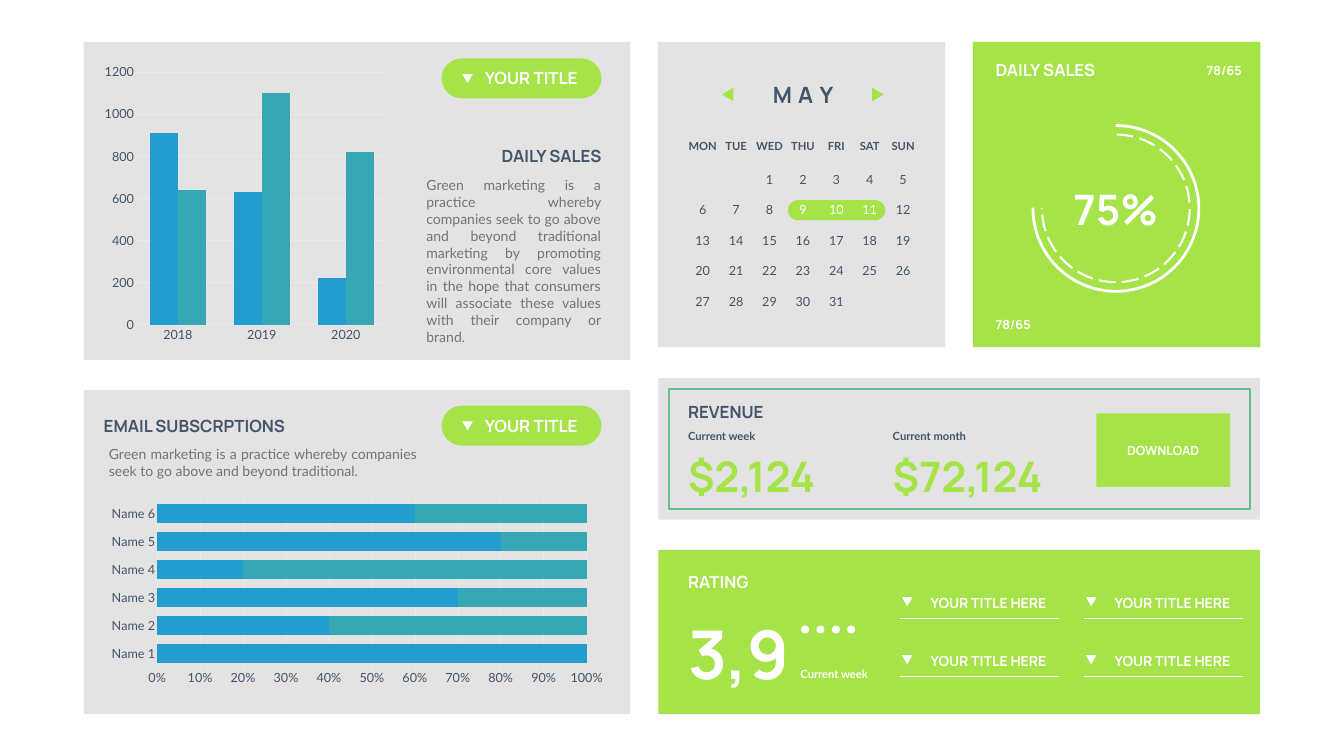
from dataclasses import dataclass, replace
from typing import NamedTuple, Optional, Sequence

from lxml import etree
from pptx import Presentation
from pptx.chart.data import CategoryChartData
from pptx.dml.color import RGBColor
from pptx.enum.chart import XL_CHART_TYPE, XL_TICK_MARK
from pptx.enum.dml import MSO_LINE
from pptx.enum.shapes import MSO_CONNECTOR, MSO_SHAPE
from pptx.enum.text import MSO_ANCHOR, MSO_AUTO_SIZE, PP_ALIGN
from pptx.oxml import parse_xml
from pptx.oxml.ns import nsdecls, qn
from pptx.util import Inches, Pt

RECT, PILL, TRIANGLE = MSO_SHAPE.RECTANGLE, MSO_SHAPE.ROUNDED_RECTANGLE, MSO_SHAPE.ISOSCELES_TRIANGLE
OVAL, ARC, STRAIGHT = MSO_SHAPE.OVAL, MSO_SHAPE.ARC, MSO_CONNECTOR.STRAIGHT
COLUMNS, BARS = XL_CHART_TYPE.COLUMN_CLUSTERED, XL_CHART_TYPE.BAR_STACKED_100
NO_TICK, LONG_DASH = XL_TICK_MARK.NONE, MSO_LINE.LONG_DASH
TOP, MIDDLE, GROW = MSO_ANCHOR.TOP, MSO_ANCHOR.MIDDLE, MSO_AUTO_SIZE.SHAPE_TO_FIT_TEXT
LEFT, CENTER, RIGHT, JUSTIFY = PP_ALIGN.LEFT, PP_ALIGN.CENTER, PP_ALIGN.RIGHT, PP_ALIGN.JUSTIFY

WHITE = RGBColor(0xFF, 0xFF, 0xFF)
GRAY = RGBColor(0xE3, 0xE3, 0xE3)
GREEN = RGBColor(0xA5, 0xE3, 0x48)
FRAME_GREEN = RGBColor(0x63, 0xC0, 0x8A)
NAVY = RGBColor(0x44, 0x54, 0x69)
BODY_GRAY = RGBColor(0x73, 0x75, 0x72)
GRID = RGBColor(0xEA, 0xEA, 0xEA)
SERIES_COLORS = (RGBColor(0x22, 0x9D, 0xCE), RGBColor(0x37, 0xA7, 0xB6))


class Box(NamedTuple):
    left: float
    top: float
    width: float
    height: float


@dataclass(frozen=True)
class Style:
    size: int
    color: RGBColor
    font: str = "Manrope"
    bold: bool = True
    align: PP_ALIGN = LEFT
    anchor: MSO_ANCHOR = MIDDLE
    wrap: bool = False


HEADING = Style(24, NAVY, anchor=TOP)
WHITE_HEADING = replace(HEADING, color=WHITE)
PILL_LABEL = Style(24, WHITE)
BODY = Style(20, BODY_GRAY, "Lato", False, JUSTIFY, TOP, True)
CAPTION = Style(16, NAVY, "Lato")
WEEKDAY = replace(CAPTION, align=CENTER)
DAY = Style(18, NAVY, "Lato", False, CENTER)
SMALL = Style(18, WHITE)
AMOUNT = Style(60, GREEN, anchor=TOP)


def place(item, box: Box) -> None:
    item.left, item.top, item.width, item.height = map(Inches, box)


def write(item, words: Sequence[str], style: Style, spacing: Sequence[int] = ()) -> None:
    """Fill one paragraph, run by run; spacing is in hundredths of a point."""
    frame = item.text_frame
    frame.word_wrap, frame.auto_size = style.wrap, GROW
    frame.vertical_anchor = style.anchor
    para = frame.paragraphs[0]
    para.alignment = style.align
    for index, word in enumerate(words):
        span = para.add_run()
        span.text = word
        span.font.name, span.font.size, span.font.bold = style.font, Pt(style.size), style.bold
        span.font.color.rgb = style.color
        if spacing:
            span.font._element.set("spc", str(spacing[index]))


def add_text(shapes, box: Box, words: str, style: Style) -> None:
    write(shapes.add_textbox(*map(Inches, box)), [words], style)


def add_figure(shapes, kind, box: Box, fill: Optional[RGBColor] = None, line: Optional[RGBColor] = None,
               weight: float = 1, turn: float = 0, adjust: Sequence[float] = ()):
    figure = shapes.add_shape(kind, *map(Inches, box))
    figure.shadow.inherit = False
    figure.rotation = turn
    for index, value in enumerate(adjust):
        figure.adjustments[index] = value
    if fill is None:
        figure.fill.background()
    else:
        figure.fill.solid()
        figure.fill.fore_color.rgb = fill
    if line is None:
        figure.line.fill.background()
    else:
        figure.line.color.rgb, figure.line.width = line, Pt(weight)
    return figure


def add_pill(shapes, top: float) -> None:
    add_figure(shapes, PILL, Box(8.76, top, 3.17, 0.79), GREEN, adjust=[0.5])
    add_text(shapes, Box(9.52, top + 0.14, 2.06, 0.5), "YOUR TITLE", PILL_LABEL)
    add_figure(shapes, TRIANGLE, Box(9.17, top + 0.31, 0.21, 0.18), WHITE, turn=180)


def add_rating_item(shapes, left: float, top: float) -> None:
    add_text(shapes, Box(left + 0.5, top, 2.5, 0.44), "YOUR TITLE HERE", Style(20, WHITE))
    add_figure(shapes, TRIANGLE, Box(left + 0.03, top + 0.11, 0.21, 0.18), WHITE, turn=180)
    y = Inches(top + 0.52)
    rule = shapes.add_connector(STRAIGHT, Inches(left), y, Inches(left + 3.14), y)
    rule.line.color.rgb, rule.line.width = WHITE, Pt(1)
    etree.SubElement(rule.element.spPr, qn("a:effectLst"))


def add_bar_chart(shapes, kind, box: Box, names: Sequence[str], rows: Sequence[Sequence[int]], gap: int):
    data = CategoryChartData()
    data.categories = names
    for number, row in enumerate(rows, 1):
        data.add_series(f"Series {number}", row)
    chart = shapes.add_chart(kind, *map(Inches, box), data).chart
    chart.has_legend = chart.has_title = False
    plot = chart.plots[0]
    plot.gap_width, plot.vary_by_categories = gap, False
    for series, color in zip(plot.series, SERIES_COLORS):
        series.format.fill.solid()
        series.format.fill.fore_color.rgb = color
    for font in (chart.font, chart.category_axis.tick_labels.font, chart.value_axis.tick_labels.font):
        font.name, font.size, font.bold = "Lato", Pt(18), False
        font.color.rgb = NAVY
    for axis in (chart.category_axis, chart.value_axis):
        axis.major_tick_mark = axis.minor_tick_mark = NO_TICK
    chart.value_axis.has_major_gridlines = True
    for line in (chart.category_axis.format.line, chart.value_axis.major_gridlines.format.line):
        line.color.rgb, line.width = GRID, Pt(0.75)
    chart.value_axis.format.line.fill.background()
    return chart


def set_inner_plot(chart, box: Box) -> None:
    area = chart.element.find(".//" + qn("c:plotArea"))
    for old in area.findall(qn("c:layout")):
        area.remove(old)
    sizes = "".join(f'<c:{tag} val="{value}"/>' for tag, value in zip("xywh", box))
    area.insert(0, parse_xml(
        f'<c:layout {nsdecls("c")}><c:manualLayout><c:layoutTarget val="inner"/>'
        f'<c:xMode val="edge"/><c:yMode val="edge"/>{sizes}</c:manualLayout></c:layout>'))


def add_calendar(shapes) -> None:
    month = shapes.add_textbox(*map(Inches, Box(15.18, 1.56, 1.5, 0.64)))
    write(month, ["MA", "Y"], Style(32, NAVY, align=CENTER, anchor=TOP), [900, 0])
    for left, turn in ((14.3, 270), (17.28, 90)):
        add_figure(shapes, TRIANGLE, Box(left, 1.76, 0.27, 0.23), GREEN, turn=turn)
    add_figure(shapes, PILL, Box(15.63, 3.97, 1.93, 0.4), GREEN, adjust=[0.5])
    first_center, column_step, row_step = 13.94, 0.6625, 0.605
    for column, name in enumerate(("MON", "TUE", "WED", "THU", "FRI", "SAT", "SUN")):
        center = first_center + column * column_step
        add_text(shapes, Box(center - 0.4, 2.72, 0.8, 0.37), name, WEEKDAY)
    for day in range(1, 32):
        row, column = divmod(day + 1, 7)  # the month starts on a Wednesday
        left = first_center + column * column_step - 0.25
        style = replace(DAY, color=WHITE) if 9 <= day <= 11 else DAY
        add_text(shapes, Box(left, 3.36 + row * row_step, 0.5, 0.4), str(day), style)


def add_gauge(shapes) -> None:
    gauge = shapes.add_group_shape().shapes
    add_figure(gauge, ARC, Box(20.49, 2.49, 3.29, 3.29), None, WHITE, 4, adjust=[161.91, 108.3])
    inner = add_figure(gauge, ARC, Box(20.67, 2.67, 2.93, 2.93), None, WHITE, 3, adjust=[162.32, 108.08])
    inner.line.dash_style = LONG_DASH
    add_text(gauge, Box(21.17, 3.58, 1.93, 1.11), "75%", Style(60, WHITE, align=CENTER))


def main() -> None:
    deck = Presentation()
    deck.slide_width, deck.slide_height = Inches(26.66), Inches(15)
    page = deck.slides.add_slide(deck.slide_layouts[5])
    shapes = page.shapes

    # Panels
    for box, color in ((Box(1.66, 0.83, 10.84, 6.31), GRAY), (Box(13.05, 0.83, 5.7, 6.06), GRAY),
                       (Box(19.3, 0.83, 5.7, 6.06), GREEN), (Box(1.66, 7.74, 10.84, 6.43), GRAY),
                       (Box(13.06, 7.5, 11.93, 2.81), GRAY), (Box(13.06, 10.91, 11.93, 3.26), GREEN)):
        add_figure(shapes, RECT, box, color)

    # Daily sales by year; the title goes in front of its panel
    sales = add_bar_chart(shapes, COLUMNS, Box(1.96, 1.16, 5.85, 5.74), ("2018", "2019", "2020"),
                          ((910, 630, 220), (640, 1100, 820)), 100)
    sales.value_axis.maximum_scale, sales.value_axis.major_unit = 1200, 200
    add_pill(shapes, 1.16)
    title = shapes.title
    shapes.element.append(title.element)
    place(title, Box(9.77, 2.84, 2.26, 0.5))
    write(title, ["DAILY SALES"], replace(HEADING, align=RIGHT))
    add_text(shapes, Box(8.36, 3.46, 3.66, 3.13),
             "Green marketing is a practice whereby companies seek to go above and beyond traditional "
             "marketing by promoting environmental core values in the hope that consumers will "
             "associate these values with their company or brand.", BODY)

    add_calendar(shapes)

    # Daily sales gauge
    add_text(shapes, Box(19.65, 1.14, 2.26, 0.5), "DAILY SALES", WHITE_HEADING)
    add_text(shapes, Box(23.79, 1.19, 0.94, 0.4), "78/65", replace(SMALL, align=RIGHT))
    add_text(shapes, Box(19.65, 6.23, 0.94, 0.4), "78/65", SMALL)
    add_gauge(shapes)

    # Email subscriptions
    emails = add_bar_chart(shapes, BARS, Box(1.96, 9.76, 10.07, 4.04), [f"Name {n}" for n in range(1, 7)],
                           ((100, 40, 70, 20, 80, 60), (0, 60, 30, 80, 20, 40)), 50)
    emails.plots[0].overlap = 100
    labels = emails.value_axis.tick_labels
    labels.number_format, labels.number_format_is_linked = "0%", False
    set_inner_plot(emails, Box(0.115, 0.038, 0.846, 0.825))
    add_pill(shapes, 8.05)
    add_text(shapes, Box(1.96, 8.19, 3.86, 0.5), "EMAIL SUBSCRPTIONS", replace(HEADING, anchor=MIDDLE))
    add_text(shapes, Box(2.06, 8.8, 6.31, 0.77), "Green marketing is a practice whereby companies "
             "seek to go above and beyond traditional.", BODY)

    # Revenue
    add_figure(shapes, RECT, Box(13.27, 7.72, 11.52, 2.38), None, FRAME_GREEN, 3)
    add_text(shapes, Box(13.55, 7.93, 1.7, 0.5), "REVENUE", HEADING)
    for left, width, period, amount in ((13.55, 2.85, "week", "$2,124"), (17.61, 3.3, "month", "$72,124")):
        add_text(shapes, Box(left, 8.46, 1.75, 0.37), f"Current {period}", CAPTION)
        add_text(shapes, Box(left, 8.88, width, 1.11), amount, AMOUNT)
    add_figure(shapes, RECT, Box(21.75, 8.2, 2.65, 1.46), GREEN)
    add_text(shapes, Box(22.21, 8.73, 1.73, 0.4), "DOWNLOAD", replace(SMALL, align=CENTER))

    # Rating
    add_text(shapes, Box(13.55, 11.29, 1.48, 0.5), "RATING", WHITE_HEADING)
    add_text(shapes, Box(13.55, 12.09, 2.24, 1.72), "3,9", replace(AMOUNT, size=96, color=WHITE))
    add_text(shapes, Box(15.78, 13.19, 1.57, 0.37), "Current week", replace(CAPTION, color=WHITE))
    for dot in range(4):
        add_figure(shapes, OVAL, Box(15.89 + dot * 0.305, 12.41, 0.16, 0.16), WHITE)
    for top in (11.74, 12.89):
        for left in (17.86, 21.51):
            add_rating_item(shapes, left, top)

    deck.save("out.pptx")


if __name__ == "__main__":
    main()
